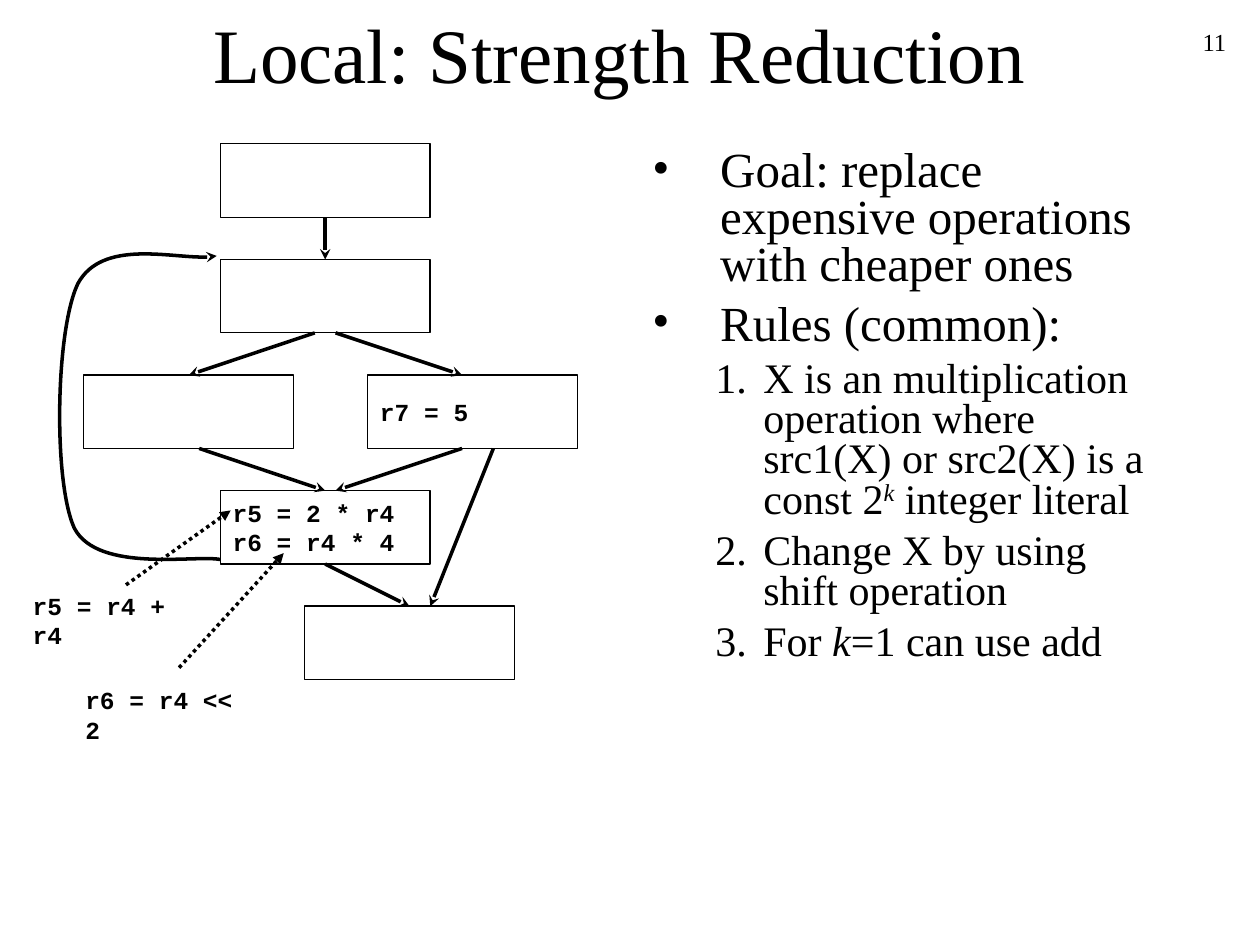
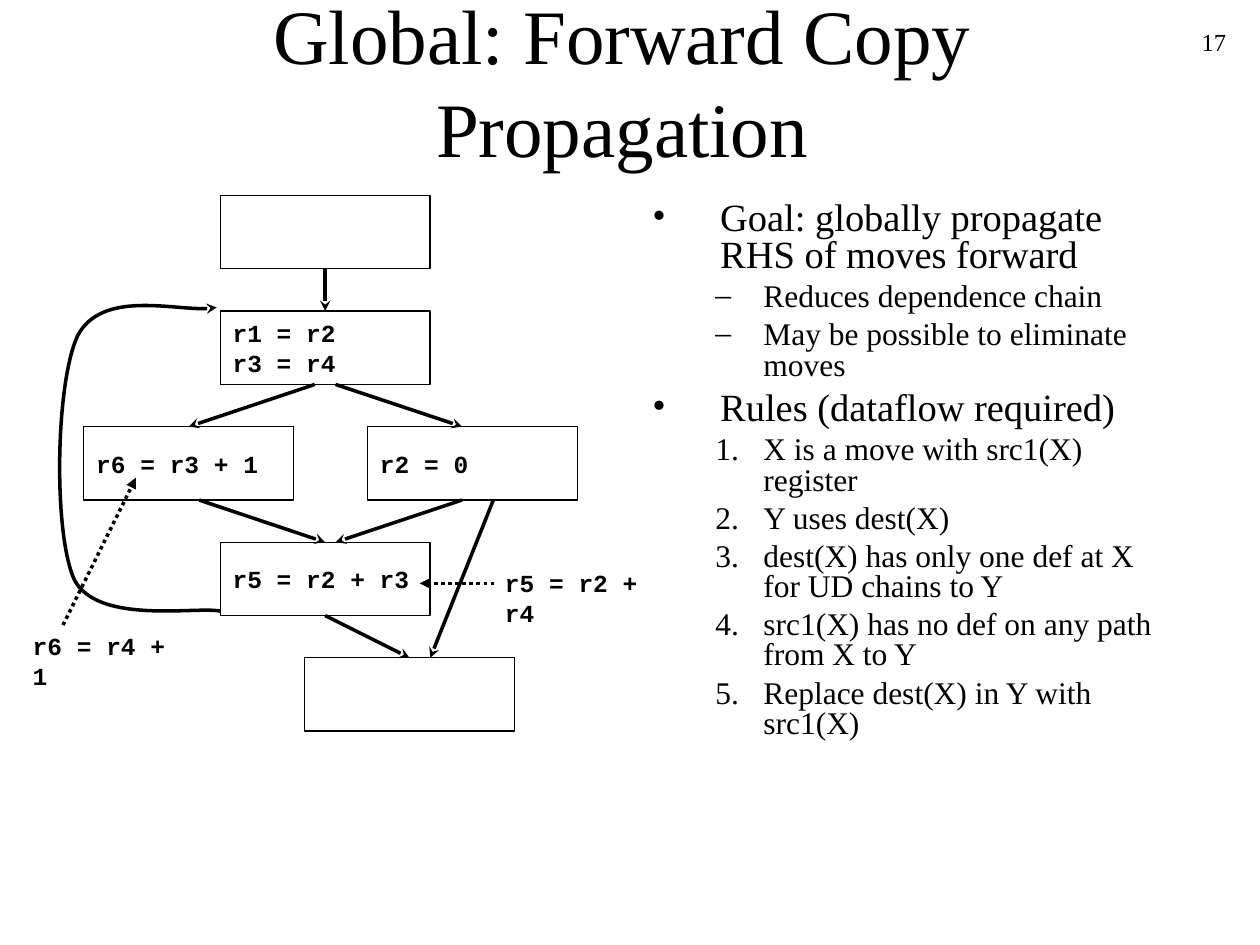
"""Build two compiler-optimisation slides, each with a flow graph and a rule list."""
from dataclasses import dataclass
from typing import NamedTuple

from lxml import etree
from pptx import Presentation
from pptx import util as u
from pptx.dml import color
from pptx.enum import dml, shapes, text
from pptx.oxml import ns

COLORS = {"ink": "000000", "paper": "FFFFFF"}
SERIF, MONO = "Times New Roman", "Courier New"
BOX_W, BOX_H, ROW_STEP = 4.23, 1.48, 2.33
CHAR_W = 0.296
INSET_X = 0.25


class Point(NamedTuple):
    x: float
    y: float


class Block(NamedTuple):
    left: float
    row: int


class Edge(NamedTuple):
    source: str
    target: str
    start_shift: float = 0
    end_shift: float = 0


class Run(NamedTuple):
    text: str
    italic: bool = False
    raised: bool = False


class Item(NamedTuple):
    bullet: str
    runs: list[Run]


class Note(NamedTuple):
    text: str
    corner: Point
    start: Point
    end: Point


@dataclass
class Page:
    number: str
    title: str
    title_at: tuple[float, float, float, float]
    top: float
    code: dict[str, list[str]]
    notes: list[Note]
    goal_size: int
    rule_size: int
    items: list[Item]


BLOCKS = {
    "entry": Block(4.44, 0),
    "loop": Block(4.44, 1),
    "left": Block(1.69, 2),
    "right": Block(7.41, 2),
    "join": Block(4.44, 3),
    "exit": Block(6.14, 4),
}
EDGES = [
    Edge("entry", "loop"),
    Edge("loop", "left", -0.21),
    Edge("loop", "right", 0.21, -0.21),
    Edge("left", "join", 0.21),
    Edge("right", "join", -0.21, 0.21),
    Edge("join", "exit"),
    Edge("right", "exit", 0.42, 0.42),
]
BACK_EDGE = [
    Point(4.44, 8.38), Point(3.96, 8.28), Point(1.98, 8.66), Point(1.5, 7.75),
    Point(1.07, 6.81), Point(1.12, 3.76), Point(1.57, 2.82),
    Point(2.06, 1.91), Point(3.78, 2.39), Point(4.37, 2.26),
]
MAIN, DASH, NUMBER = "•", "–", "1."

PAGES = [
    Page(
        "11", "Local: Strength Reduction", (1.7, 0, 21.59, 2.13), 2.9,
        {"right": ["r7 = 5"], "join": ["r5 = 2 * r4", "r6 = r4 * 4"]},
        [
            Note("r6 = r4 << 2", Point(1.47, 13.69), Point(3.61, 13.46), Point(5.72, 11.15)),
            Note("r5 = r4 + r4", Point(0.41, 11.79), Point(2.54, 11.79), Point(4.65, 10.29)),
        ],
        28, 24,
        [
            Item(MAIN, [Run("Goal: replace expensive operations with cheaper ones")]),
            Item(MAIN, [Run("Rules (common):")]),
            Item(NUMBER, [
                Run("X is an multiplication operation where src1(X) or src2(X) is a const 2"),
                Run("k", True, True),
                Run(" integer literal"),
            ]),
            Item(NUMBER, [Run("Change X by using shift operation")]),
            Item(NUMBER, [Run("For "), Run("k", True), Run("=1 can use add")]),
        ],
    ),
    Page(
        "17", "Global: Forward Copy Propagation", (1.75, 0.03, 21.59, 3.18), 3.94,
        {
            "loop": ["r1 = r2", "r3 = r4"],
            "left": ["r6 = r3 + 1"],
            "right": ["r2 = 0"],
            "join": ["r5 = r2 + r3"],
        },
        [
            Note("r6 = r4 + 1", Point(0.41, 12.6), Point(1.27, 12.6), Point(2.74, 9.63)),
            Note("r5 = r2 + r4", Point(9.93, 11.33), Point(9.96, 11.76), Point(8.46, 11.76)),
        ],
        22, 18,
        [
            Item(MAIN, [Run("Goal: globally propagate RHS of moves forward")]),
            Item(DASH, [Run("Reduces dependence chain")]),
            Item(DASH, [Run("May be possible to eliminate moves")]),
            Item(MAIN, [Run("Rules (dataflow required)")]),
            Item(NUMBER, [Run("X is a move with src1(X) register")]),
            Item(NUMBER, [Run("Y uses dest(X)")]),
            Item(NUMBER, [Run("dest(X) has only one def at X for UD chains to Y")]),
            Item(NUMBER, [Run("src1(X) has no def on any path from X to Y")]),
            Item(NUMBER, [Run("Replace dest(X) in Y with src1(X)")]),
        ],
    ),
]


def rgb(name: str) -> color.RGBColor:
    """Return a palette colour."""
    return color.RGBColor.from_string(COLORS[name])


def add_run(p, words: str, size: float, font: str = SERIF, bold: bool = False):
    """Append one styled run to a paragraph."""
    r = p.add_run()
    r.text = words
    r.font.name, r.font.size, r.font.bold = font, u.Pt(size), bold
    r.font.color.rgb = rgb("ink")
    return r


def add_code(tf, lines: list[str]) -> None:
    """Write lines of code into a text frame."""
    p = tf.paragraphs[0]
    p.alignment = text.PP_ALIGN.LEFT
    for i, line in enumerate(lines):
        if i:
            p.add_line_break()
        add_run(p, line, 14, MONO, True)


def add_textbox(s, left: float, top: float, width: float, height: float, wrap: bool = True):
    """Add a text box and return its text frame."""
    tf = s.shapes.add_textbox(*map(u.Cm, (left, top, width, height))).text_frame
    tf.word_wrap = wrap
    return tf


def style_arrow(sp, head: str, dotted: bool = False) -> None:
    """Give a line its ink, dash and arrowhead."""
    sp.line.color.rgb = rgb("ink")
    sp.line.width = u.Pt(2)
    if dotted:
        sp.line.dash_style = dml.MSO_LINE.ROUND_DOT
    etree.SubElement(sp.line._get_or_add_ln(), ns.qn("a:tailEnd"), type=head)


def add_arrow(s, start: Point, end: Point, head: str, dotted: bool = False):
    """Draw a straight arrow."""
    sp = s.shapes.add_connector(
        shapes.MSO_CONNECTOR.STRAIGHT, *map(u.Cm, (*start, *end)))
    style_arrow(sp, head, dotted)
    etree.SubElement(sp._element.spPr, ns.qn("a:effectLst"))
    return sp


def add_back_edge(s, top: float) -> None:
    """Draw the curved loop edge from cubic control points."""
    points = [(u.Cm(x), u.Cm(top + y)) for x, y in BACK_EDGE]
    builder = s.shapes.build_freeform(*points[0], scale=1.0)
    builder.add_line_segments(points[1:], close=False)
    sp = builder.convert_to_shape()
    sp.shadow.inherit = False
    sp.fill.background()
    style_arrow(sp, "stealth")
    segments = list(sp._element.iter(ns.qn("a:lnTo")))
    for i in range(0, len(segments), 3):
        curve = etree.Element(ns.qn("a:cubicBezTo"))
        segments[i].addprevious(curve)
        for segment in segments[i:i + 3]:
            curve.append(segment[0])
            segment.getparent().remove(segment)


def add_block(s, block: Block, top: float, lines: list[str]):
    """Draw one basic block with its code."""
    sp = s.shapes.add_shape(
        shapes.MSO_SHAPE.RECTANGLE,
        *map(u.Cm, (block.left, top + block.row * ROW_STEP, BOX_W, BOX_H)))
    sp.shadow.inherit = False
    sp.fill.background()
    sp.line.color.rgb = rgb("ink")
    sp.line.width = u.Pt(0.75)
    tf = sp.text_frame
    tf.word_wrap = True
    tf.vertical_anchor = text.MSO_ANCHOR.MIDDLE
    add_code(tf, lines)
    return sp


def add_graph(s, page: Page) -> None:
    """Draw the control-flow graph with its edges."""
    add_back_edge(s, page.top)
    boxes = {name: add_block(s, block, page.top, page.code.get(name, []))
             for name, block in BLOCKS.items()}
    for edge in EDGES:
        source, target = BLOCKS[edge.source], BLOCKS[edge.target]
        start = Point(source.left + BOX_W / 2 + edge.start_shift,
                      page.top + source.row * ROW_STEP + BOX_H)
        end = Point(target.left + BOX_W / 2 + edge.end_shift,
                    page.top + target.row * ROW_STEP)
        sp = add_arrow(s, start, end, "stealth")
        if not edge.start_shift:
            sp.begin_connect(boxes[edge.source], 2)
        if not edge.end_shift:
            sp.end_connect(boxes[edge.target], 0)


def set_bullet(p, bullet: str) -> None:
    """Set indents and the bullet or number of a paragraph."""
    margin, hanging = (1.37, 1.37) if bullet == MAIN else (2.24, 0.97)
    pPr = p._p.get_or_add_pPr()
    pPr.set("marL", str(u.Cm(margin)))
    pPr.set("indent", str(-u.Cm(hanging)))
    ink = etree.SubElement(pPr, ns.qn("a:buClr"))
    etree.SubElement(ink, ns.qn("a:srgbClr"), val=COLORS["ink"])
    etree.SubElement(pPr, ns.qn("a:buFont"), typeface=SERIF)
    if bullet == NUMBER:
        etree.SubElement(pPr, ns.qn("a:buAutoNum"), type="arabicPeriod")
    else:
        etree.SubElement(pPr, ns.qn("a:buChar"), char=bullet)


def add_rules(s, page: Page) -> None:
    """Write the list beside the graph."""
    tf = add_textbox(s, 12.9, page.top, 10.59, 11.43)
    for i, item in enumerate(page.items):
        p = tf.add_paragraph() if i else tf.paragraphs[0]
        size = page.goal_size if item.bullet == MAIN else page.rule_size
        p.level = int(item.bullet != MAIN)
        p.line_spacing = 0.8
        p.space_before = u.Pt(size / 4 if i else 0)
        set_bullet(p, item.bullet)
        for run in item.runs:
            r = add_run(p, run.text, size)
            r.font.italic = run.italic
            if run.raised:
                r.font._element.set("baseline", "30000")


def add_page(prs, page: Page) -> None:
    """Build one slide."""
    s = prs.slides.add_slide(prs.slide_layouts[6])
    s.background.fill.solid()
    s.background.fill.fore_color.rgb = rgb("paper")
    p = add_textbox(s, 19.69, 0.42, 5.28, 1.27).paragraphs[0]
    p.alignment = text.PP_ALIGN.RIGHT
    add_run(p, page.number, 14)
    tf = add_textbox(s, *page.title_at)
    tf.vertical_anchor = text.MSO_ANCHOR.MIDDLE
    tf.paragraphs[0].alignment = text.PP_ALIGN.CENTER
    add_run(tf.paragraphs[0], page.title, 44)
    add_graph(s, page)
    add_rules(s, page)
    for note in page.notes:
        add_arrow(s, note.start, note.end, "triangle", dotted=True)
        width = len(note.text) * CHAR_W + 2 * INSET_X
        add_code(add_textbox(s, *note.corner, width, 0.86, wrap=False), [note.text])


def main() -> None:
    """Build and save the presentation."""
    prs = Presentation()
    prs.slide_width, prs.slide_height = u.Cm(25.4), u.Cm(19.05)
    for page in PAGES:
        add_page(prs, page)
    prs.save("out.pptx")


if __name__ == "__main__":
    main()
